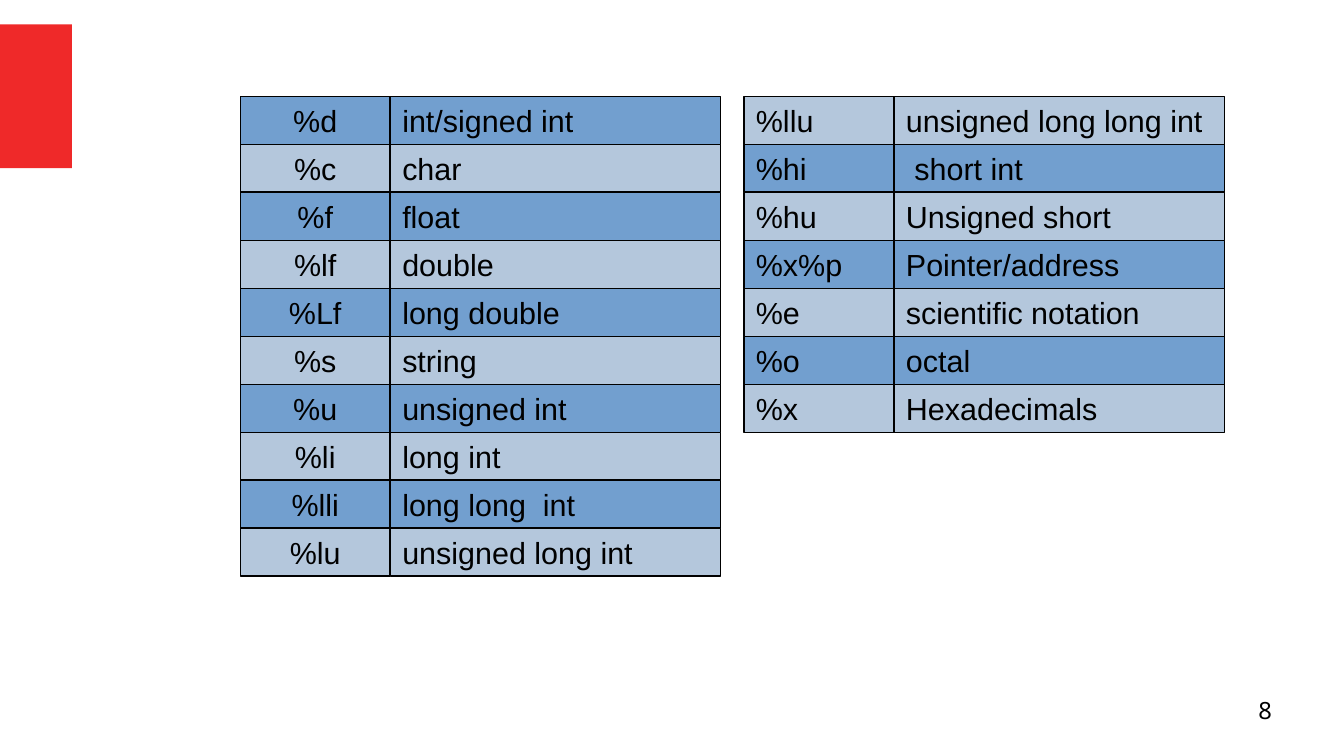
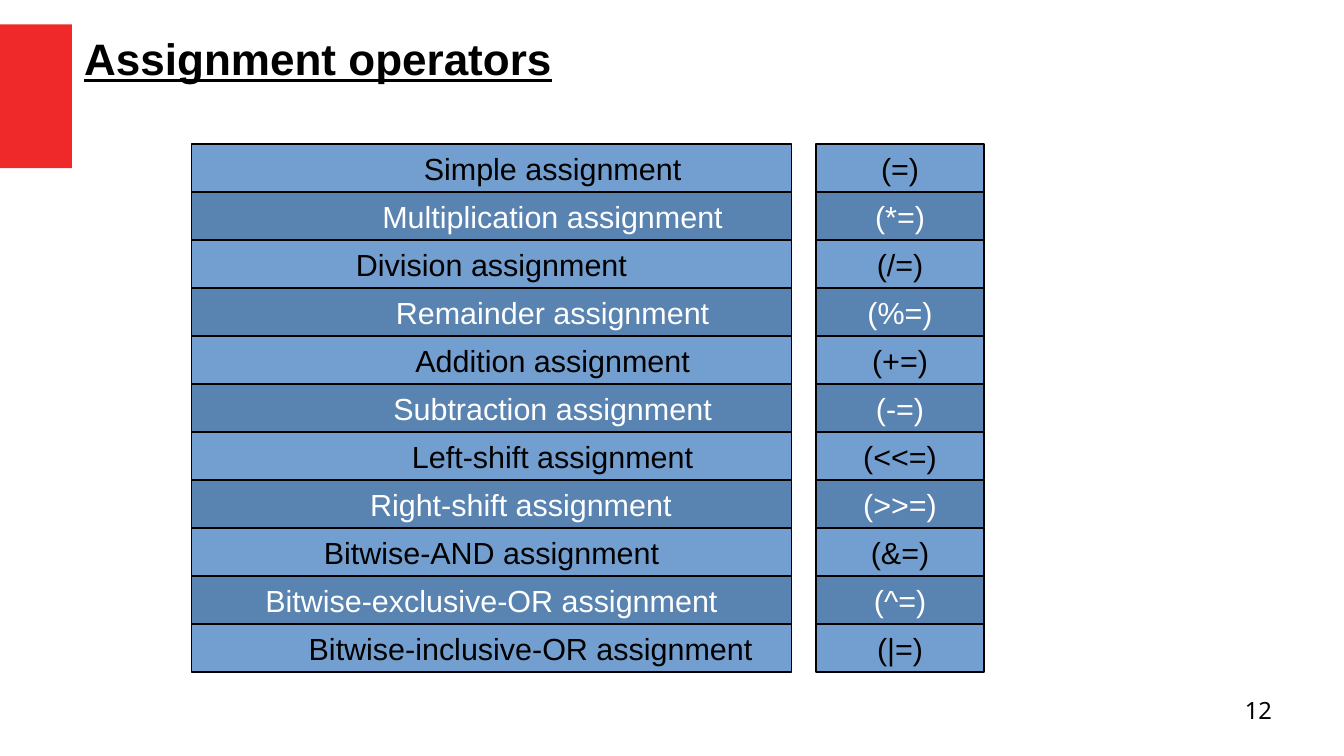
from pptx import Presentation
from pptx.dml.color import RGBColor
from pptx.enum.shapes import MSO_SHAPE
from pptx.enum.text import MSO_ANCHOR, MSO_AUTO_SIZE, PP_ALIGN
from pptx.util import Inches, Pt

COLORS = {
    "band": "EF2929",
    "mid": "729FCF",
    "pale": "B4C7DC",
    "deep": "5983B0",
    "ink": "000000",
    "white": "FFFFFF",
}
ROW_H = 4.33 / 11
TITLE_FONT = {"name": "Arial", "size": Pt(26), "bold": True, "underline": True}
CELL_FONT = {"name": "Arial", "size": Pt(18)}
NUMBER_FONT = {"name": "Noto Sans", "size": Pt(14)}
INSETS = {"margin_left": Inches(0.1), "margin_right": Inches(0.1),
          "margin_top": Inches(0.05), "margin_bottom": Inches(0.05),
          "word_wrap": True}
CELL_BOX = {**INSETS, "vertical_anchor": MSO_ANCHOR.MIDDLE}
TITLE_BOX = {**INSETS, "vertical_anchor": MSO_ANCHOR.TOP,
             "auto_size": MSO_AUTO_SIZE.NONE}
NUMBER_BOX = {"margin_left": 0, "margin_right": 0, "margin_top": 0,
              "margin_bottom": 0, "word_wrap": True}

LEFT, CENTER, RIGHT = PP_ALIGN.LEFT, PP_ALIGN.CENTER, PP_ALIGN.RIGHT

BASIC_SPECIFIERS = [
    ("%d", "int/signed int"),
    ("%c", "char"),
    ("%f", "float"),
    ("%lf", "double"),
    ("%Lf", "long double"),
    ("%s", "string"),
    ("%u", "unsigned int"),
    ("%li", "long int"),
    ("%lli", "long long  int"),
    ("%lu", "unsigned long int"),
]
OTHER_SPECIFIERS = [
    ("%llu", "unsigned long long int"),
    ("%hi", " short int"),
    ("%hu", "Unsigned short"),
    ("%x%p", "Pointer/address"),
    ("%e", "scientific notation"),
    ("%o", "octal"),
    ("%x", "Hexadecimals"),
]
OPERATORS = [
    ("Simple assignment", "(=)", 1),
    ("Multiplication assignment", "(*=)", 1),
    ("Division assignment", "(/=)", 0),
    ("Remainder assignment", "(%=)", 1),
    ("Addition assignment", "(+=)", 1),
    ("Subtraction assignment", "(-=)", 1),
    ("Left-shift assignment", "(<<=)", 1),
    ("Right-shift assignment", "(>>=)", 0.48),
    ("Bitwise-AND assignment", "(&=)", 0),
    ("Bitwise-exclusive-OR assignment", "(^=)", 0),
    ("Bitwise-inclusive-OR assignment", "(|=)", 0.64),
]


def rgb(name):
    return RGBColor.from_string(COLORS[name])


def apply(target, values):
    for key, value in values.items():
        setattr(target, key, value)


def write(tf, text, font, color="ink", align=LEFT):
    p = tf.paragraphs[0]
    p.alignment = align
    r = p.add_run()
    r.text = text
    apply(r.font, font)
    r.font.color.rgb = rgb(color)


def add_rect(s, left, top, width, height, fill):
    rect = s.shapes.add_shape(MSO_SHAPE.RECTANGLE, Inches(left), Inches(top),
                              Inches(width), Inches(height))
    rect.shadow.inherit = False
    rect.fill.solid()
    rect.fill.fore_color.rgb = rgb(fill)
    rect.line.fill.background()
    return rect


def add_cell(s, left, top, width, text, fill, align, indent=0):
    cell = add_rect(s, left, top, width, ROW_H, fill)
    cell.line.color.rgb = rgb("ink")
    cell.line.width = Pt(0.85)
    tf = cell.text_frame
    apply(tf, CELL_BOX)
    tf.margin_left += Inches(indent)
    write(tf, text, CELL_FONT, "white" if fill == "deep" else "ink", align)


def add_specifier_rows(s, left, rows, code_align, fills):
    for i, (code, kind) in enumerate(rows):
        top, fill = 0.79 + i * ROW_H, fills[i % 2]
        add_cell(s, left, top, 1.23, code, fill, code_align)
        add_cell(s, left + 1.23, top, 2.71, kind, fill, LEFT)


def add_operator_rows(s):
    for i, (name, symbol, indent) in enumerate(OPERATORS):
        top, fill = 1.18 + i * ROW_H, ("mid", "deep")[i % 2]
        add_cell(s, 1.57, top, 4.92, name, fill, CENTER, indent)
        add_cell(s, 6.69, top, 1.38, symbol, fill, CENTER)


def add_master_band(prs, s):
    band = add_rect(s, 0, 0.2, 0.59, 1.18, "band")
    band.element.nvSpPr.cNvPr.set("id", "99")
    prs.slide_master.shapes.element.insert(2, band.element)


def add_number(s, number):
    box = s.shapes.add_textbox(Inches(7.87), Inches(5.71), Inches(2.56), Inches(0.43))
    apply(box.text_frame, NUMBER_BOX)
    write(box.text_frame, str(number), NUMBER_FONT, align=RIGHT)


def set_title(s, text):
    title = s.shapes.title
    apply(title, {"left": Inches(0.59), "top": Inches(0.21),
                  "width": Inches(4.13), "height": Inches(0.5)})
    apply(title.text_frame, TITLE_BOX)
    write(title.text_frame, text, TITLE_FONT)


def add_specifiers(prs):
    s = prs.slides.add_slide(prs.slide_layouts[6])
    add_master_band(prs, s)
    add_specifier_rows(s, 1.97, BASIC_SPECIFIERS, CENTER, ("mid", "pale"))
    add_specifier_rows(s, 6.1, OTHER_SPECIFIERS, LEFT, ("pale", "mid"))
    add_number(s, 8)


def add_operators(prs):
    s = prs.slides.add_slide(prs.slide_layouts[5])
    set_title(s, "Assignment operators")
    add_operator_rows(s)
    add_number(s, 12)


def main():
    prs = Presentation()
    apply(prs, {"slide_width": Inches(11.02), "slide_height": Inches(6.2)})
    add_specifiers(prs)
    add_operators(prs)
    prs.save("out.pptx")


if __name__ == "__main__":
    main()
